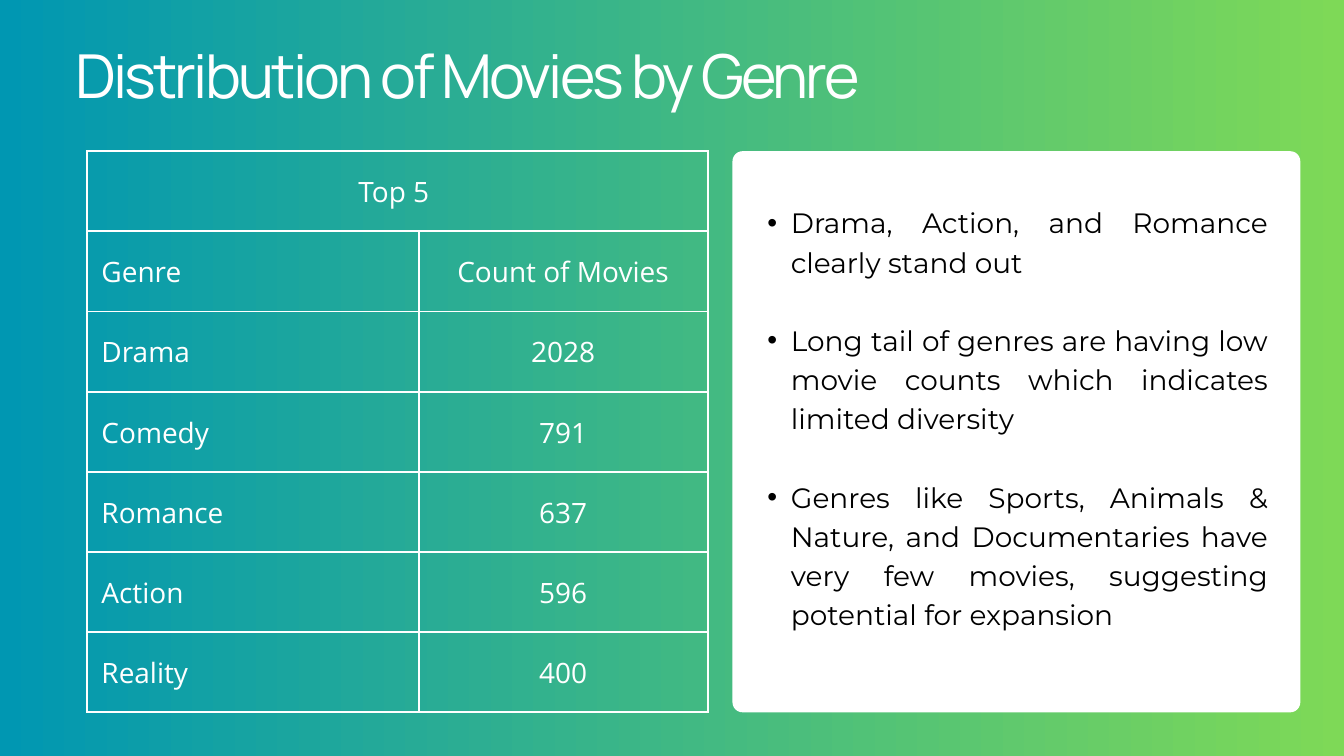
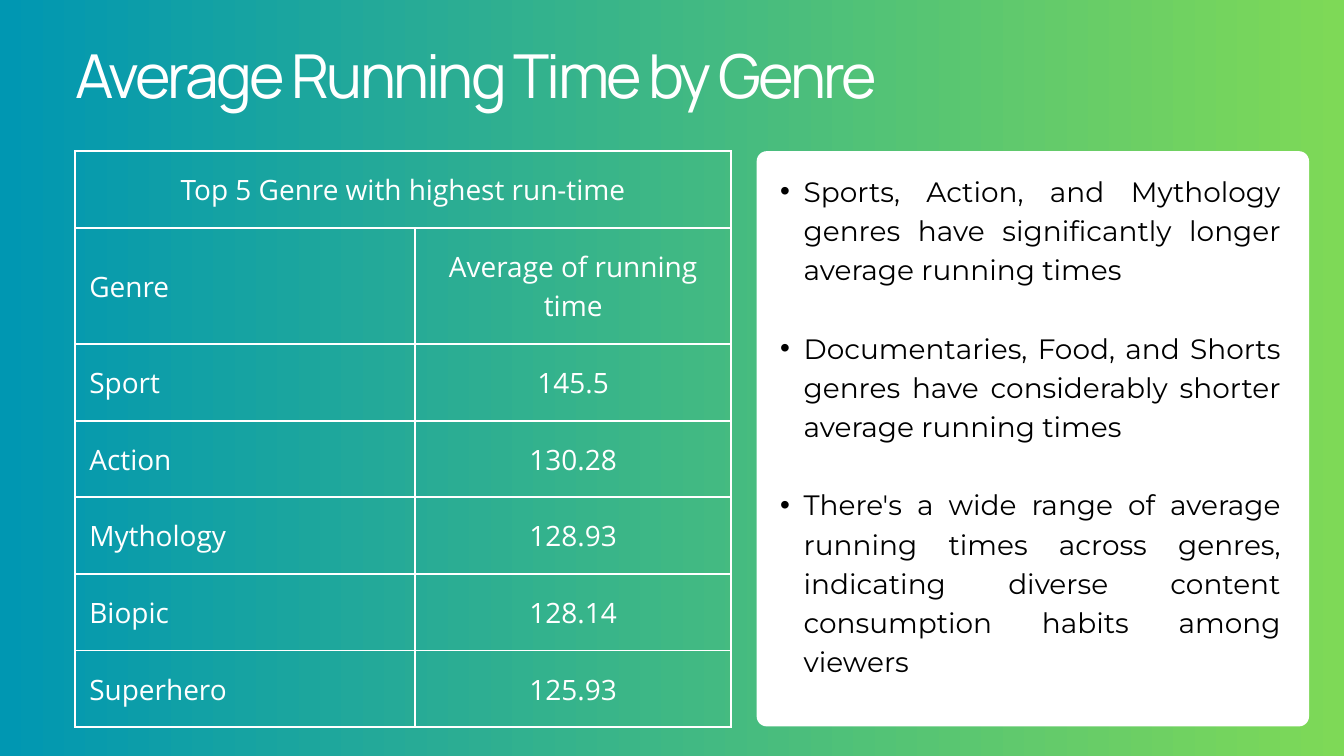
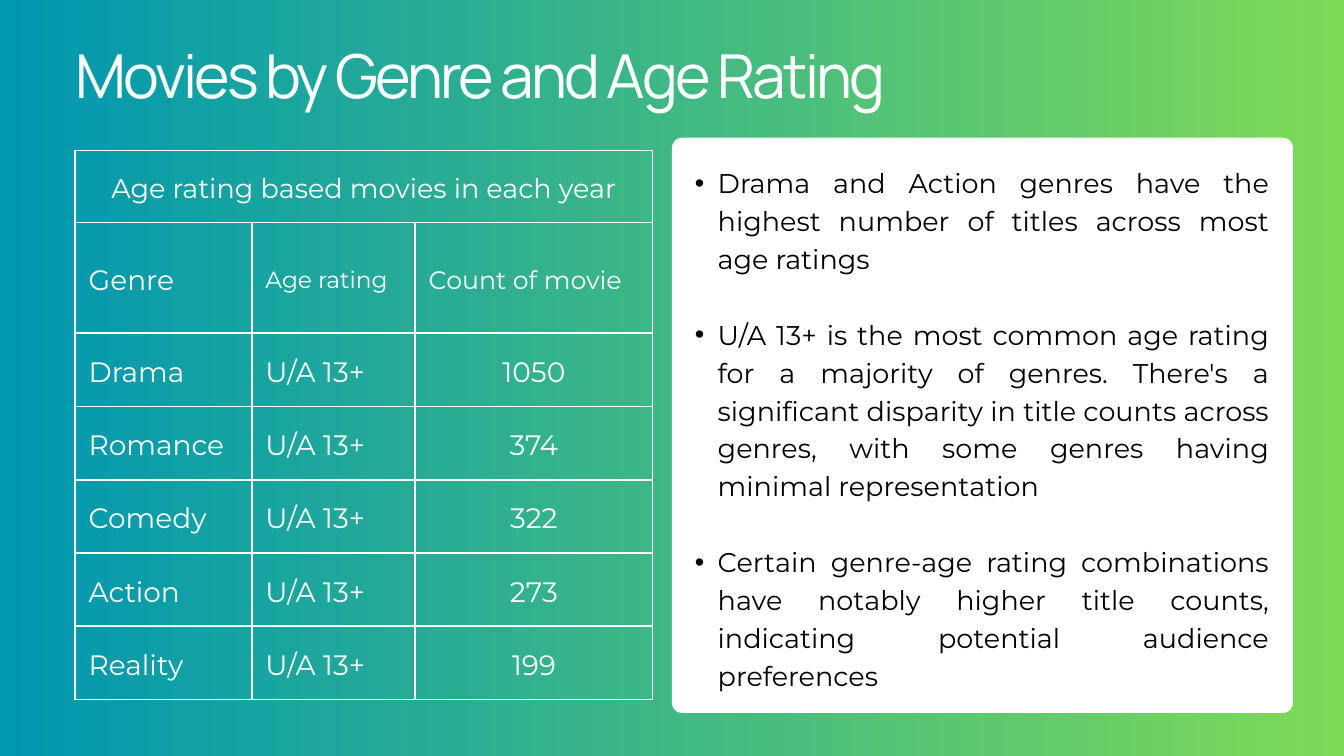
from pptx import Presentation
from pptx import util as u
from pptx.dml.color import RGBColor
from pptx.enum import shapes, text
from pptx.oxml import parse_xml
from pptx.oxml.ns import nsdecls

HUES = {"blue": "0097B2", "green": "7ED957", "white": "FFFFFF", "black": "000000"}
FACES = {"title": "Manrope", "body": "Montserrat", "table": "Open Sans"}
LEAD = 1.4  # line height as a multiple of the text size
EDGE = 1.12
ALIGN = text.PP_ALIGN


def hue(name):
    return RGBColor.from_string(HUES[name])


def box(*sizes):
    return [u.Inches(size) for size in sizes]


def style(par, face, size, color, lead=LEAD, align=ALIGN.LEFT):
    par.alignment = align
    par.line_spacing = u.Pt(round(size * lead, 1))
    for run in par.runs:
        run.font.name = face
        run.font.size = u.Pt(size)
        run.font.color.rgb = hue(color)


def add_page(deck, title):
    """Add a slide with the shared gradient and title."""
    page = deck.slides.add_slide(deck.slide_layouts[6])
    fill = page.background.fill
    fill.gradient()
    fill.gradient_angle = 0
    for stop, name, place in zip(fill.gradient_stops, ("blue", "green"), (0, 1)):
        stop.color.rgb = hue(name)
        stop.position = place
    frame = add_frame(page, EDGE, 0.84, 17.75, 0.88)
    frame.text = title
    par = frame.paragraphs[0]
    style(par, FACES["title"], 64.9, "white", lead=0.9)
    par.runs[0].font._element.set("spc", "-300")
    return page


def add_frame(page, *spot):
    frame = page.shapes.add_textbox(*box(*spot)).text_frame
    frame.word_wrap = True
    frame.margin_left = frame.margin_right = 0
    frame.margin_top = frame.margin_bottom = 0
    return frame


def add_card(page, *spot, radius=0.15):
    card = page.shapes.add_shape(shapes.MSO_SHAPE.ROUNDED_RECTANGLE, *box(*spot))
    card.adjustments[0] = radius / min(spot[2:])
    card.shadow.inherit = False
    card.fill.solid()
    card.fill.fore_color.rgb = hue("white")
    card.line.fill.background()


def add_points(page, spot, points, size=30, indent=0.35):
    """Write justified bullets, one empty line's height apart."""
    frame = add_frame(page, *spot)
    frame.text = "\n".join(points)
    for i, par in enumerate(frame.paragraphs):
        style(par, FACES["body"], size, "black", align=ALIGN.JUSTIFY)
        par.level = 1
        if i:
            par.space_before = par.line_spacing
        props = par._p.get_or_add_pPr()
        props.set("marL", str(u.Inches(2 * indent)))
        props.set("indent", str(-u.Inches(indent)))
        props.append(parse_xml(f'<a:buFont {nsdecls("a")} typeface="Arial"/>'))
        props.append(parse_xml(f'<a:buChar {nsdecls("a")} char="•"/>'))


def add_rules(cell):
    """Draw white lines on all four sides of a cell."""
    props = cell._tc.get_or_add_tcPr()
    for side in ("lnL", "lnR", "lnT", "lnB"):
        props.append(parse_xml(
            f'<a:{side} {nsdecls("a")} w="{u.Pt(2.25)}"><a:solidFill>'
            f'<a:srgbClr val="{HUES["white"]}"/></a:solidFill></a:{side}>'))


def add_grid(page, left, top, cols, rows, data, face, pad=0.21, sizes=None, lefts=()):
    """Fill a table; sizes and lefts hold exceptions, keyed by (row, column)."""
    sizes = sizes or {}
    grid = page.shapes.add_table(
        len(rows), len(cols), *box(left, top, sum(cols), sum(rows))).table
    grid.first_row = grid.horz_banding = False
    for col, width in zip(grid.columns, cols):
        col.width = u.Inches(width)
    for row, height in zip(grid.rows, rows):
        row.height = u.Inches(height)
    last = len(cols) - 1
    grid.cell(0, 0).merge(grid.cell(0, last))
    for r in range(len(rows)):
        for c in range(len(cols)):
            cell = grid.cell(r, c)
            add_rules(cell)
            cell.fill.background()
            if c >= len(data[r]):
                continue
            cell.margin_left = cell.margin_right = u.Inches(pad)
            cell.margin_top = cell.margin_bottom = u.Inches(pad)
            cell.vertical_anchor = text.MSO_ANCHOR.MIDDLE
            cell.text_frame.text = data[r][c]
            mid = r == 0 or (c == last and (r, c) not in lefts)
            for par in cell.text_frame.paragraphs:
                style(par, face, sizes.get((r, c), 30), "white",
                      align=ALIGN.CENTER if mid else ALIGN.LEFT)


def add_counts(deck):
    page = add_page(deck, "Distribution of Movies by Genre")
    data = [["Top 5 "], ["Genre", "Count of Movies"], ["Drama", "2028"],
            ["Comedy", "791"], ["Romance", "637"], ["Action", "596"],
            ["Reality", "400"]]
    add_grid(page, 1.3, 2.25, [4.93, 4.3], [8.35 / 7] * 7, data, FACES["table"])
    add_card(page, 10.9, 2.25, 8.45, 8.35)
    add_points(page, (11.07, 2.98, 7.8, 6.84), [
        "Drama, Action, and Romance clearly stand out",
        "Long tail of genres are having low movie counts which indicates "
        "limited diversity",
        "Genres like Sports, Animals & Nature, and Documentaries have very few "
        "movies, suggesting potential for expansion"])


def add_times(deck):
    page = add_page(deck, "Average Running Time by Genre")
    add_card(page, 11.26, 2.25, 8.22, 8.56)
    data = [["Top 5 Genre with highest run-time"],
            ["Genre", "Average of running\ntime"], ["Sport", "145.5"],
            ["Action", "130.28"], ["Mythology", "128.93"], ["Biopic", "128.14"],
            ["Superhero", "125.93"]]
    add_grid(page, EDGE, 2.25, [5.06, 4.7], [1.14, 1.73] + [1.14] * 5, data,
             FACES["table"])
    add_points(page, (11.26, 2.51, 7.8, 7.99), [
        "Sports, Action, and Mythology genres have significantly longer average "
        "running times",
        "Documentaries, Food, and Shorts genres have considerably shorter "
        "average running times",
        "There's a wide range of average running times across genres, indicating "
        "diverse content consumption habits among viewers"])


def add_ages(deck):
    page = add_page(deck, "Movies by Genre and Age Rating")
    add_card(page, 10, 2.05, 9.24, 8.56)
    counts = {"Drama": "1050", "Romance": "374", "Comedy": "322",
              "Action": "273", "Reality": "199"}
    data = [["Age rating based movies in each year"],
            ["Genre", "Age rating", "Count of movie"]]
    data += [[genre, "U/A 13+", count] for genre, count in counts.items()]
    add_grid(page, EDGE, 2.24, [2.63, 2.43, 3.53], [1.07, 1.65] + [1.09] * 5, data,
             FACES["body"], pad=0.2, sizes={(0, 0): 29, (1, 1): 25, (1, 2): 27},
             lefts=[(1, 2)])
    add_points(page, (10, 2.4, 8.89, 7.85), [
        "Drama and Action genres have the highest number of titles across most "
        "age ratings",
        "U/A 13+ is the most common age rating for a majority of genres. There's "
        "a significant disparity in title counts across genres, with some genres "
        "having minimal representation",
        "Certain genre-age rating combinations have notably higher title counts, "
        "indicating potential audience preferences"], size=29, indent=0.34)


def main():
    deck = Presentation()
    deck.slide_width, deck.slide_height = box(20, 11.25)
    add_counts(deck)
    add_times(deck)
    add_ages(deck)
    deck.save("out.pptx")


if __name__ == "__main__":
    main()
